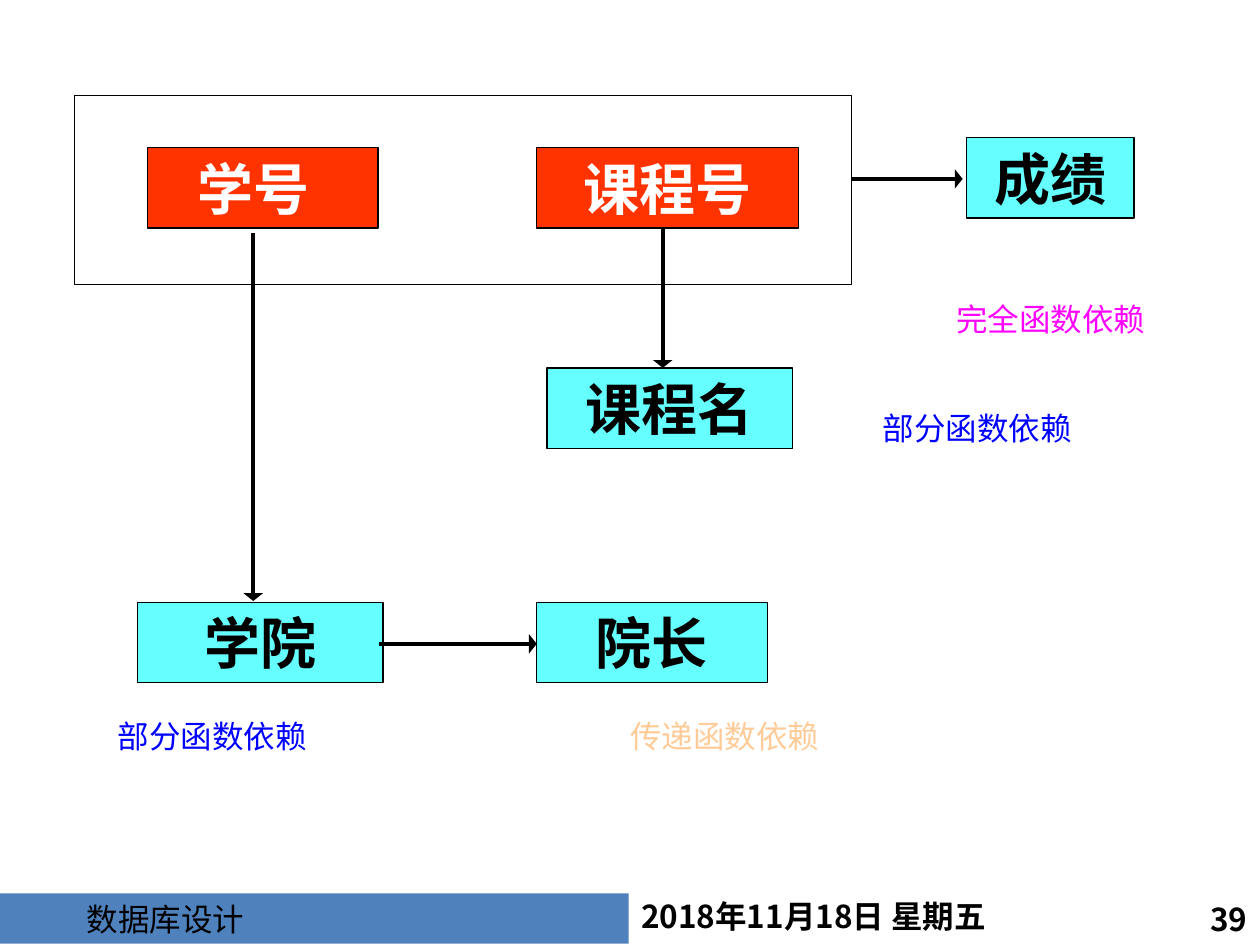
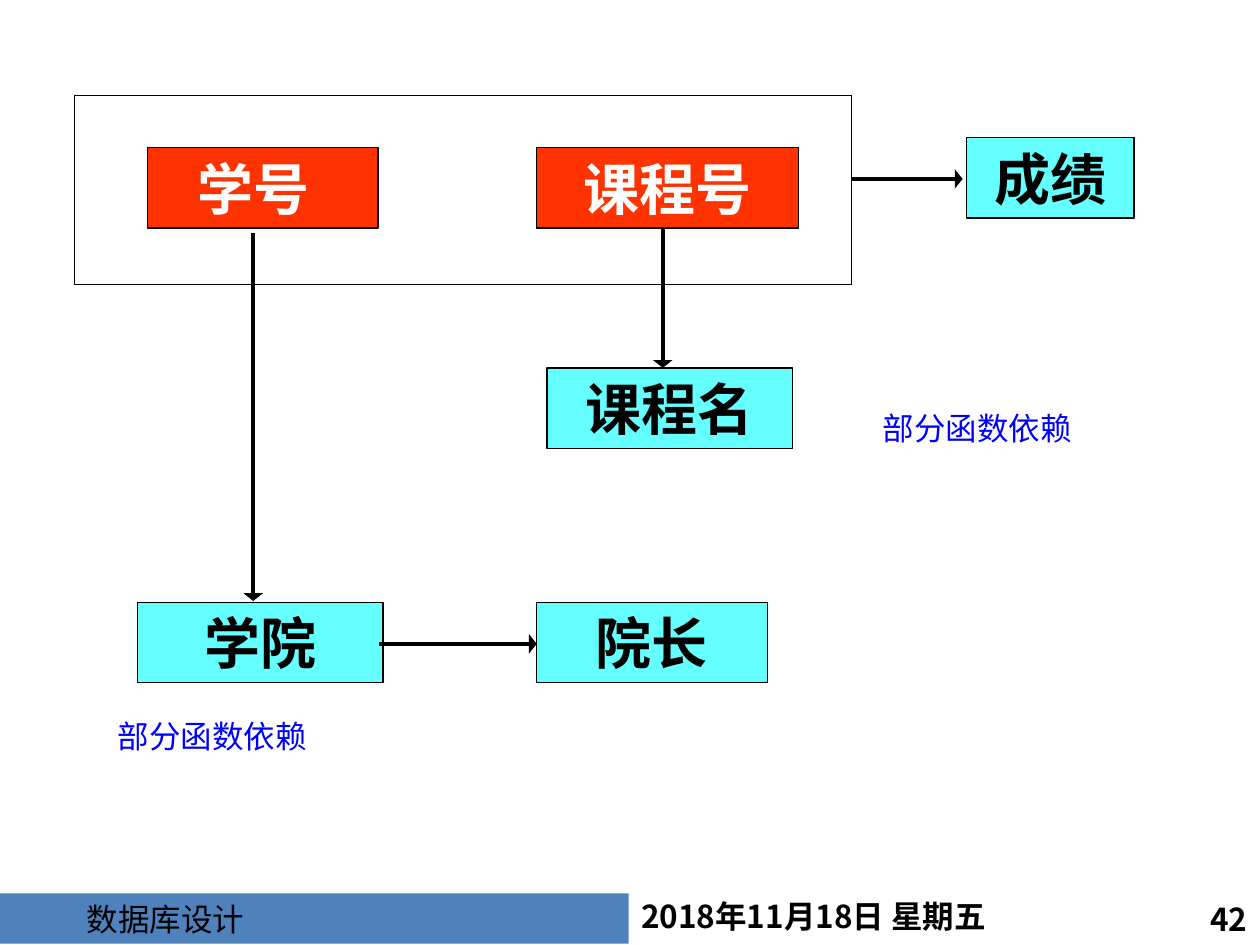
from lxml import etree
from pptx import Presentation
from pptx.dml.color import RGBColor
from pptx.enum.shapes import MSO_CONNECTOR, MSO_SHAPE
from pptx.enum.text import MSO_ANCHOR, PP_ALIGN
from pptx.oxml.ns import qn
from pptx.util import Inches, Pt

RECTANGLE = MSO_SHAPE.RECTANGLE
STRAIGHT = MSO_CONNECTOR.STRAIGHT
TOP, MIDDLE = MSO_ANCHOR.TOP, MSO_ANCHOR.MIDDLE
LEFT, CENTER, RIGHT = PP_ALIGN.LEFT, PP_ALIGN.CENTER, PP_ALIGN.RIGHT

COLORS = {
    "black": "000000", "white": "FFFFFF", "band": "4F81BD",
    "key": "FF3300", "attribute": "66FFFF",
    "full": "FF00FF", "full outline": "993366",
    "partial": "0000FF", "partial outline": "0000FF",
    "transitive": "FFCC99", "transitive outline": "FF0000",
}
SANS, SANS_JP, SERIF = "Noto Sans CJK SC", "Noto Sans CJK JP", "Times New Roman"


def write(shape, text, size, color="black", bold=False, font=SANS,
          align=LEFT, anchor=MIDDLE, inset=0.1):
    frame = shape.text_frame
    frame.word_wrap = True
    frame.vertical_anchor = anchor
    frame.margin_left = Inches(inset)
    para = frame.paragraphs[0]
    para.alignment = align
    span = para.add_run()
    span.text = text
    span.font.size, span.font.bold, span.font.name = Pt(size), bold, font
    span.font.color.rgb = RGBColor.from_string(COLORS[color])
    east_asian = SANS if font == SERIF else font
    etree.SubElement(span.font._element, qn("a:ea"), typeface=east_asian)
    return span


def add_box(page, place, fill, outlined=True):
    box = page.shapes.add_shape(RECTANGLE, *map(Inches, place))
    box.shadow.inherit = False
    box.fill.solid()
    box.fill.fore_color.rgb = RGBColor.from_string(COLORS[fill])
    if outlined:
        box.line.color.rgb = RGBColor.from_string(COLORS["black"])
        box.line.width = Pt(0.75)
    else:
        box.line.fill.background()
    return box


# Diagram: the composite key, the attributes and the arrows between them
KEY_FRAME = (0.59, 0.76, 6.17, 1.5)
BOX_HEIGHT = 0.64
# text, left, top, width, fill, text colour, font, alignment, left inset
FIELDS = [
    ("学号", 1.17, 1.17, 1.83, "key", "white", SANS, LEFT, 0.4),
    ("课程号", 4.26, 1.17, 2.08, "key", "white", SERIF, CENTER, 0.1),
    ("成绩", 7.67, 1.09, 1.33, "attribute", "black", SERIF, CENTER, 0.1),
    ("课程名", 4.34, 2.92, 1.95, "attribute", "black", SERIF, CENTER, 0.1),
    ("学院", 1.09, 4.78, 1.95, "attribute", "black", SERIF, CENTER, 0.1),
    ("院长", 4.26, 4.78, 1.83, "attribute", "black", SERIF, CENTER, 0.1),
]
ARROWS = [
    (3.01, 5.11, 4.26, 5.11),
    (2.01, 1.85, 2.01, 4.77),
    (6.76, 1.42, 7.64, 1.42),
    (5.26, 1.82, 5.26, 2.92),
]

# Dependency labels: text, place, kind, outline width
FULL = ("完全函数依赖", (7.13, 2.33, 2.42, 0.5), "full", 0.75)
TRANSITIVE = ("传递函数依赖", (4.29, 5.64, 2.92, 0.67), "transitive", 1)
PARTIAL = [("部分函数依赖", (left, top, 2.67, 0.67), "partial", 0.75)
           for left, top in [(0.35, 5.64), (6.42, 3.2)]]
PAGES = [("39", [FULL, TRANSITIVE] + PARTIAL), ("42", PARTIAL)]

deck = Presentation()
deck.slide_width, deck.slide_height = Inches(10), Inches(7.5)

for number, labels in PAGES:
    page = deck.slides.add_slide(deck.slide_layouts[6])

    # Footer: date, page number and course band
    date = page.shapes.add_textbox(*map(Inches, (4.99, 7.07, 3.56, 0.4)))
    write(date, "2018年11月18日 星期五", 18, bold=True, anchor=TOP)
    page_number = page.shapes.add_textbox(*map(Inches, (8.7, 7.09, 1.3, 0.46)))
    write(page_number, number, 18, bold=True, align=RIGHT, anchor=TOP)
    band = add_box(page, (0, 7.09, 4.99, 0.4), "band", outlined=False)
    write(band, "数据库设计", 18, font=SANS_JP, inset=0.69)

    # Key frame and fields
    add_box(page, KEY_FRAME, "white")
    for text, left, top, width, fill, color, font, align, inset in FIELDS:
        field = add_box(page, (left, top, width, BOX_HEIGHT), fill)
        write(field, text, 32, color, True, font, align, inset=inset)

    # Arrows with wide, short heads
    for ends in ARROWS:
        arrow = page.shapes.add_connector(STRAIGHT, *map(Inches, ends))
        arrow.line.color.rgb = RGBColor.from_string(COLORS["black"])
        arrow.line.width = Pt(2.25)
        line = arrow.line._get_or_add_ln()
        etree.SubElement(line, qn("a:tailEnd"), type="triangle", w="lg", len="sm")
        etree.SubElement(arrow._element.spPr, qn("a:effectLst"))

    # Labels with outlined letters
    for text, place, kind, outline_width in labels:
        label = page.shapes.add_textbox(*map(Inches, place))
        span = write(label, text, 18, kind, align=CENTER, anchor=TOP)
        outline = etree.Element(qn("a:ln"), w=str(Pt(outline_width)))
        solid = etree.SubElement(outline, qn("a:solidFill"))
        etree.SubElement(solid, qn("a:srgbClr"), val=COLORS[kind + " outline"])
        span.font._element.insert(0, outline)

deck.save("out.pptx")
